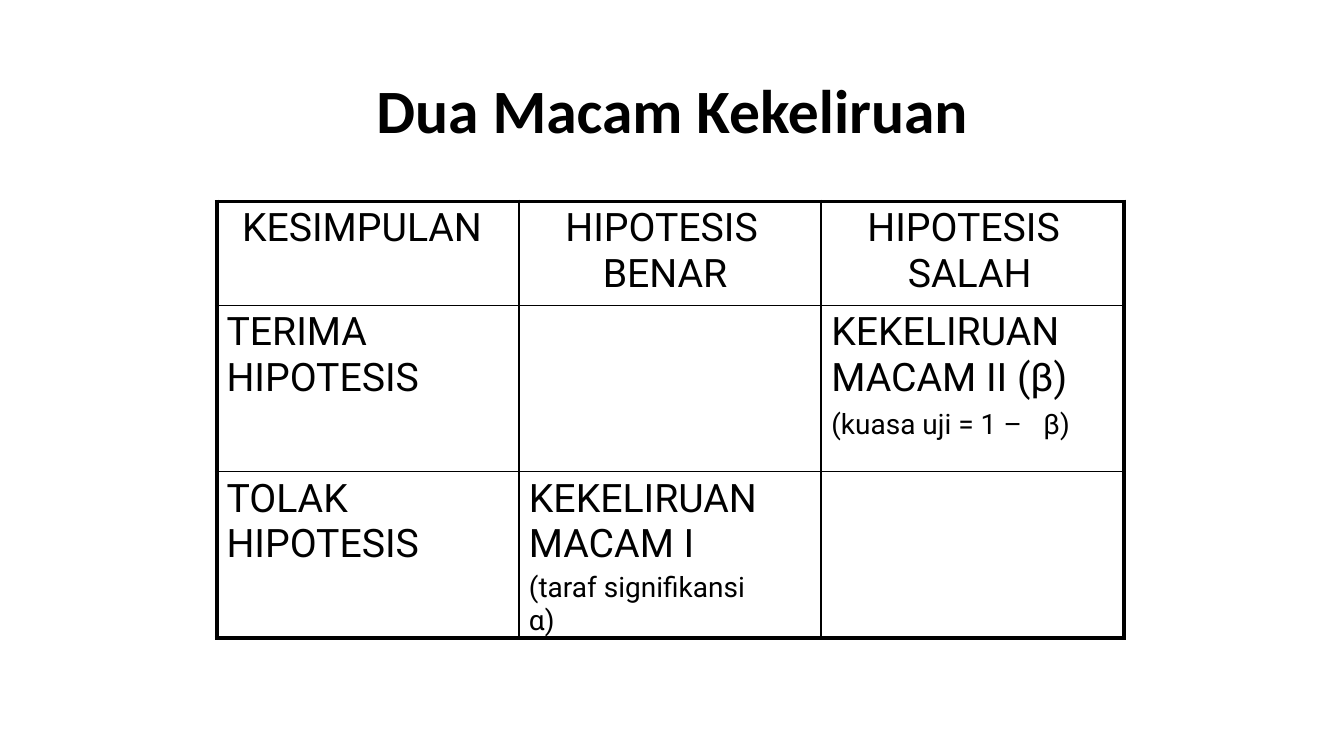
import pptx
import pptx.dml.color
import pptx.enum.text
import pptx.oxml
import pptx.oxml.ns
import pptx.util
from pptx.util import Cm, Pt

COLORS = {"ink": "000000"}
INK = pptx.dml.color.RGBColor.from_string(COLORS["ink"])
COLUMN_WIDTH = 7.62
ROW_HEIGHTS = [2.62, 4.19, 4.19]
ROW_LINES = [3, 1.5, 1, 3]
COLUMN_LINES = [3, 1.5, 1.5, 3]
HEADER_INDENTS = [(0.64, 0), (2.11, -0.94), (2.18, -1.02)]
BODY_INDENT = (0.25, 0)

# Each cell is a list of paragraphs, each paragraph a list of runs
CELLS = [
    [[["KESIMPULAN"]], [["HIPOTESIS BENAR"]], [["HIPOTESIS SALAH"]]],
    [[["TERIMA HIPOTESIS"]], [],
     [["KEKELIRUAN MACAM II (β)"], ["(kuasa uji = 1 ", "– ", "β)"]]],
    [[["TOLAK HIPOTESIS"]],
     [["KEKELIRUAN MACAM I"], ["(taraf signifikansi α)"]], []],
]


def set_borders(cell, widths):
    """Draw the left, right, top and bottom edges, widths in points."""
    properties = cell._tc.get_or_add_tcPr()
    for position, (side, width) in enumerate(zip("LRTB", widths)):
        properties.insert(position, pptx.oxml.parse_xml(
            f'<a:ln{side} {pptx.oxml.ns.nsdecls("a")} w="{Pt(width)}">'
            f'<a:solidFill><a:srgbClr val="{COLORS["ink"]}"/></a:solidFill>'
            f'</a:ln{side}>'))


presentation = pptx.Presentation()
presentation.slide_width = Cm(33.87)
presentation.slide_height = Cm(19.05)
slide = presentation.slides.add_slide(presentation.slide_layouts[5])

title = slide.shapes.title
title.left, title.top, title.width, title.height = Cm(2.34), Cm(1.02), Cm(29.21), Cm(3.68)
title.text_frame.text = "Dua Macam Kekeliruan"
title.text_frame.vertical_anchor = pptx.enum.text.MSO_ANCHOR.MIDDLE
heading = title.text_frame.paragraphs[0]
heading.alignment = pptx.enum.text.PP_ALIGN.CENTER
heading.line_spacing = 0.9
heading.font.name = "Calibri"
heading.font.size = Pt(44)
heading.font.bold = True
heading.font.color.rgb = INK

table = slide.shapes.add_table(
    3, 3, Cm(5.46), Cm(5.08), Cm(3 * COLUMN_WIDTH), Cm(sum(ROW_HEIGHTS))).table
table.first_row = False
table.horz_banding = False
for column in table.columns:
    column.width = Cm(COLUMN_WIDTH)

for row, height in enumerate(ROW_HEIGHTS):
    table.rows[row].height = Cm(height)
    for column, paragraphs in enumerate(CELLS[row]):
        cell = table.cell(row, column)
        cell.margin_left = cell.margin_right = cell.margin_bottom = 0
        cell.margin_top = Cm(0.1)
        cell.fill.background()
        set_borders(cell, COLUMN_LINES[column:column + 2] + ROW_LINES[row:row + 2])
        left, first_line = HEADER_INDENTS[column] if row == 0 else BODY_INDENT
        for index, texts in enumerate(paragraphs):
            if index == 0:
                paragraph = cell.text_frame.paragraphs[0]
            else:
                paragraph = cell.text_frame.add_paragraph()
                paragraph.space_before = Pt(5 if row == 1 else 2.6)
            paragraph_properties = paragraph._p.get_or_add_pPr()
            paragraph_properties.set("marL", str(Cm(left)))
            paragraph_properties.set("indent", str(Cm(first_line)))
            for text in texts:
                run = paragraph.add_run()
                run.text = text
                run.font.name = "Roboto"
                run.font.size = Pt(28 if index == 0 else 20)
                run.font.color.rgb = INK
                if text == "– ":
                    run.font._element.set("spc", "520")

# Keeps the alpha sign on its own line
table.cell(2, 1).margin_right = Cm(1.4)

presentation.save("out.pptx")
